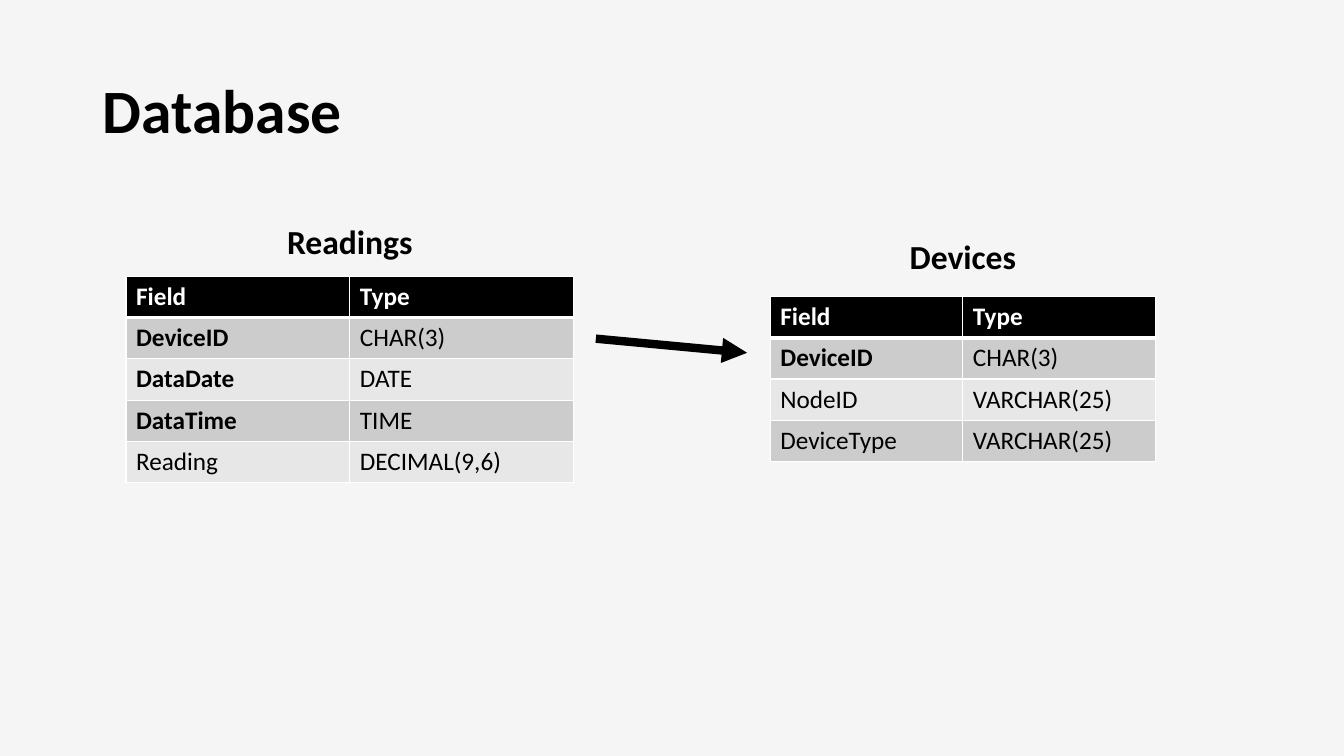
from lxml.etree import SubElement
from pptx import Presentation
from pptx.dml.color import RGBColor
from pptx.enum.shapes import MSO_CONNECTOR as Line
from pptx.enum.text import MSO_ANCHOR as Anchor, MSO_AUTO_SIZE as AutoSize, PP_ALIGN as Align
from pptx.oxml.ns import qn
from pptx.util import Inches, Pt

BLACK, WHITE, PAPER = "000000", "FFFFFF", "F5F5F5"
BANDS = ("CCCCCC", "E7E7E7")
ROW_H = 0.41

# Each table: box left, top, width; caption width and rise; key fields; rows
READINGS = dict(
    name="Readings", box=(1.25, 2.74, 4.44), caption=(1.46, 0.6),
    keys=("DeviceID", "DataDate", "DataTime"),
    fields=[("DeviceID", "CHAR(3)"), ("DataDate", "DATE"),
            ("DataTime", "TIME"), ("Reading", "DECIMAL(9,6)")])
DEVICES = dict(
    name="Devices", box=(7.64, 2.94, 3.82), caption=(1.27, 0.65),
    keys=("DeviceID",),
    fields=[("DeviceID", "CHAR(3)"), ("NodeID", "VARCHAR(25)"),
            ("DeviceType", "VARCHAR(25)")])


def rgb(hex_color):
    return RGBColor.from_string(hex_color)


def write(tf, text, size, color=BLACK, bold=True, align=Align.LEFT):
    p = tf.paragraphs[0]
    p.alignment = align
    r = p.add_run()
    r.text = text
    for key, value in dict(name="Calibri", size=Pt(size), bold=bold).items():
        setattr(r.font, key, value)
    r.font.color.rgb = rgb(color)
    return p


def set_borders(cell, widths):
    """Draw white borders; widths gives points per side, in schema order."""
    tcPr = cell._tc.get_or_add_tcPr()
    for side, width in widths.items():
        ln = SubElement(tcPr, qn(f"a:ln{side}"), w=str(Pt(width)))
        fill = SubElement(ln, qn("a:solidFill"))
        SubElement(fill, qn("a:srgbClr"), val=WHITE)


def add_title(slide, box, text):
    title = slide.shapes.title
    for key, value in zip(("left", "top", "width", "height"), box):
        setattr(title, key, Inches(value))
    title.text_frame.vertical_anchor = Anchor.MIDDLE
    write(title.text_frame, text, 44).line_spacing = 0.9


def add_caption(slide, center, top, width, text):
    sp = slide.shapes.add_textbox(Inches(center - width / 2), Inches(top),
                                  Inches(width), Inches(0.5))
    tf = sp.text_frame
    tf.word_wrap = False
    tf.auto_size = AutoSize.SHAPE_TO_FIT_TEXT
    write(tf, text, 24, align=Align.CENTER)


def add_schema(slide, name, box, caption, keys, fields):
    """Place a field table in its box, with a caption centred above it."""
    left, top, width = box
    rows = [("Field", "Type")] + fields
    table = slide.shapes.add_table(
        len(rows), 2, Inches(left), Inches(top),
        Inches(width), Inches(ROW_H * len(rows))).table
    for column in table.columns:
        column.width = Inches(width / 2)
    for i, row in enumerate(rows):
        table.rows[i].height = Inches(ROW_H)
        for j, text in enumerate(row):
            cell = table.cell(i, j)
            head = i == 0
            set_borders(cell, dict(L=1, R=1, T=3 if i == 1 else 1, B=3 if head else 1))
            cell.fill.solid()
            cell.fill.fore_color.rgb = rgb(BLACK if head else BANDS[(i - 1) % 2])
            write(cell.text_frame, text, 18, WHITE if head else BLACK,
                  bold=head or text in keys)
    caption_w, rise = caption
    add_caption(slide, left + width / 2, top - rise, caption_w, name)


def add_arrow(slide, start, end):
    arrow = slide.shapes.add_connector(Line.STRAIGHT, *map(Inches, start + end))
    arrow.line.width = Pt(6)
    arrow.line.color.rgb = rgb(BLACK)
    SubElement(arrow.line._get_or_add_ln(), qn("a:tailEnd"), type="triangle")
    SubElement(arrow._element.spPr, qn("a:effectLst"))


def build_database_slide(prs):
    slide = prs.slides.add_slide(prs.slide_layouts[5])
    # Background and title
    slide.background.fill.solid()
    slide.background.fill.fore_color.rgb = rgb(PAPER)
    add_title(slide, (0.92, 0.4, 11.5, 1.45), "Database")
    # Tables and the reference between them
    for schema in (DEVICES, READINGS):
        add_schema(slide, **schema)
    add_arrow(slide, (5.91, 3.36), (7.41, 3.5))


def main():
    prs = Presentation()
    prs.slide_width, prs.slide_height = Inches(13.33), Inches(7.5)
    build_database_slide(prs)
    prs.save("out.pptx")


if __name__ == "__main__":
    main()
